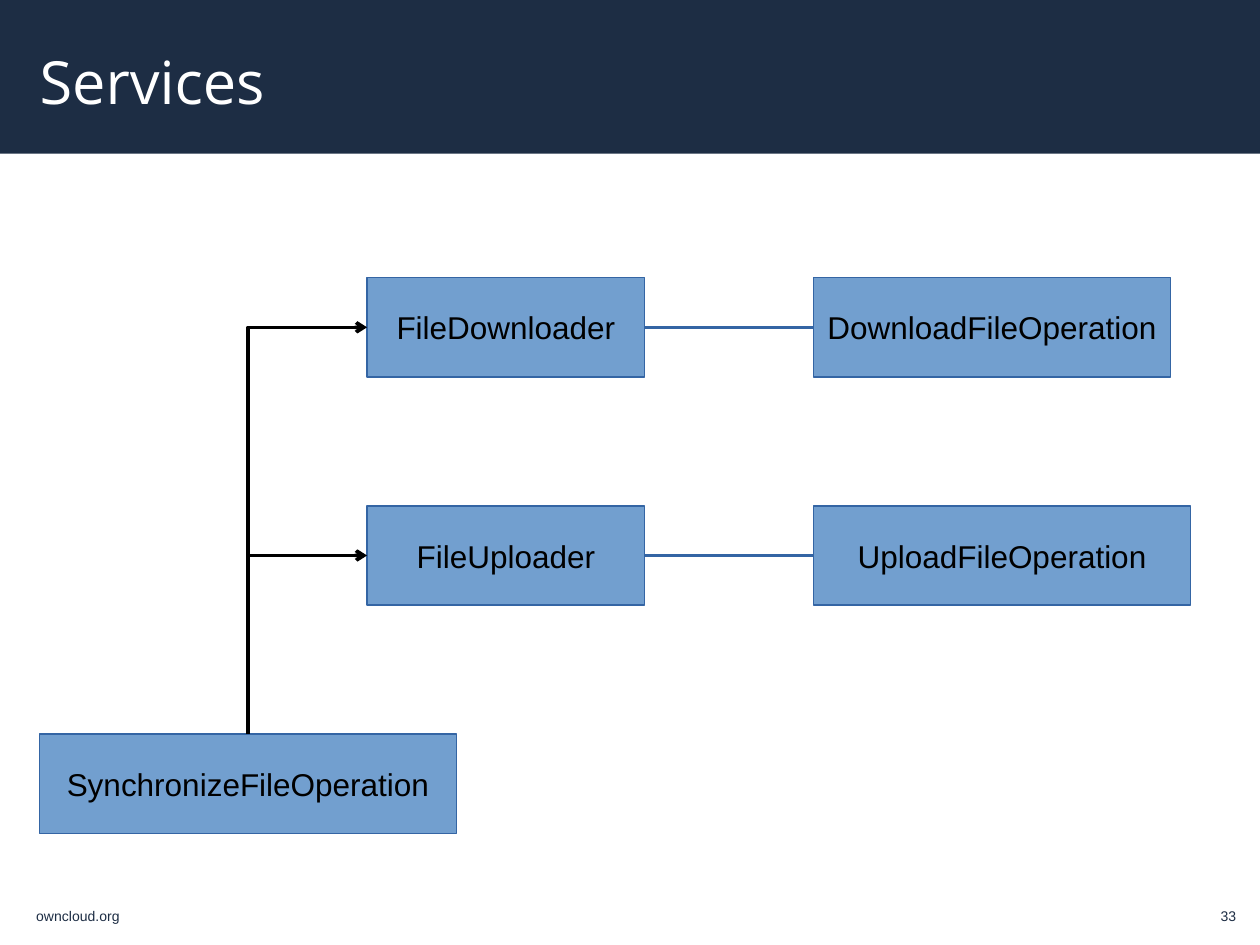
from dataclasses import dataclass

import pptx
import pptx.dml.color
import pptx.enum.shapes
import pptx.enum.text
import pptx.oxml
import pptx.oxml.ns
import pptx.shapes.autoshape
import pptx.shapes.connector
import pptx.slide
import pptx.util

Cm = pptx.util.Cm
Pt = pptx.util.Pt
RGB = pptx.dml.color.RGBColor
Align = pptx.enum.text.PP_ALIGN
Anchor = pptx.enum.text.MSO_ANCHOR
Connector = pptx.enum.shapes.MSO_CONNECTOR
Rectangle = pptx.enum.shapes.MSO_SHAPE.RECTANGLE


@dataclass(frozen=True)
class Theme:
    navy: RGB = RGB.from_string("1D2D44")
    white: RGB = RGB.from_string("FFFFFF")
    black: RGB = RGB.from_string("000000")
    box_fill: RGB = RGB.from_string("729FCF")
    box_line: RGB = RGB.from_string("3465A4")
    title_font: str = "Open Sans"
    body_font: str = "Arial"
    title_size: int = 34
    box_size: int = 18
    footer_size: int = 8


@dataclass(frozen=True)
class Label:
    text: str
    left: float
    top: float
    width: float
    height: float
    font: str
    size: int
    color: RGB
    align: Align = Align.LEFT
    anchor: Anchor = Anchor.TOP
    margin_x: float = 0.25
    margin_y: float = 0.13


@dataclass(frozen=True)
class ClassBox:
    name: str
    left: float
    row: int
    width: float


THEME = Theme()
ROW_TOP, ROW_PITCH, BOX_HEIGHT = 5.6, 4.6, 2.0

LABELS = [
    Label("33", 23.06, 18.16, 2.11, 0.7, THEME.body_font, THEME.footer_size,
          THEME.navy, align=Align.RIGHT),
    Label("owncloud.org", 0.48, 18.16, 4.57, 0.63, THEME.body_font,
          THEME.footer_size, THEME.navy),
    Label("Services", 0.8, 0.1, 20.52, 3.05, THEME.title_font, THEME.title_size,
          THEME.white, anchor=Anchor.MIDDLE, margin_x=0, margin_y=0),
]

DOWNLOADER = ClassBox("FileDownloader", 7.4, 0, 5.6)
DOWNLOAD = ClassBox("DownloadFileOperation", 16.4, 0, 7.2)
UPLOADER = ClassBox("FileUploader", 7.4, 1, 5.6)
UPLOAD = ClassBox("UploadFileOperation", 16.4, 1, 7.6)
SYNCHRONIZE = ClassBox("SynchronizeFileOperation", 0.8, 2, 8.4)
BOXES = [DOWNLOADER, DOWNLOAD, UPLOADER, UPLOAD, SYNCHRONIZE]


def format_text(frame: pptx.text.text.TextFrame, text: str, font: str, size: int,
                color: RGB, align: Align, anchor: Anchor) -> None:
    frame.text = text
    frame.vertical_anchor = anchor
    paragraph = frame.paragraphs[0]
    paragraph.alignment = align
    run_font = paragraph.runs[0].font
    run_font.name, run_font.size, run_font.color.rgb = font, Pt(size), color


def add_header_band(slide: pptx.slide.Slide) -> None:
    band = slide.shapes.add_shape(Rectangle, 0, 0, Cm(25.4), Cm(3.1))
    band.shadow.inherit = False
    band.fill.solid()
    band.fill.fore_color.rgb = THEME.navy
    band.line.fill.background()


def add_label(slide: pptx.slide.Slide, label: Label) -> None:
    frame = slide.shapes.add_textbox(Cm(label.left), Cm(label.top), Cm(label.width),
                                     Cm(label.height)).text_frame
    frame.word_wrap = True
    frame.margin_left = frame.margin_right = Cm(label.margin_x)
    frame.margin_top = frame.margin_bottom = Cm(label.margin_y)
    format_text(frame, label.text, label.font, label.size, label.color,
                label.align, label.anchor)


def add_box(slide: pptx.slide.Slide, box: ClassBox) -> pptx.shapes.autoshape.Shape:
    shape = slide.shapes.add_shape(Rectangle, Cm(box.left),
                                   Cm(ROW_TOP + box.row * ROW_PITCH),
                                   Cm(box.width), Cm(BOX_HEIGHT))
    shape.shadow.inherit = False
    shape.fill.solid()
    shape.fill.fore_color.rgb = THEME.box_fill
    shape.line.color.rgb = THEME.box_line
    shape.line.width = Pt(0)
    shape.text_frame.word_wrap = False
    format_text(shape.text_frame, box.name, THEME.body_font, THEME.box_size,
                THEME.black, Align.CENTER, Anchor.MIDDLE)
    return shape


def add_link(slide: pptx.slide.Slide, kind: Connector, start: pptx.shapes.autoshape.Shape,
             start_site: int, end: pptx.shapes.autoshape.Shape,
             color: RGB) -> pptx.shapes.connector.Connector:
    """Join the left side of end to a connection site of start."""
    link = slide.shapes.add_connector(kind, 0, 0, 0, 0)
    link.begin_connect(start, start_site)
    link.end_connect(end, 1)
    link.line.color.rgb = color
    link.line.width = Pt(0)
    properties = link._element.spPr
    properties.append(pptx.oxml.parse_xml(
        f"<a:effectLst {pptx.oxml.ns.nsdecls('a')}/>"))
    return link


def add_corner_arrow(slide: pptx.slide.Slide, start: pptx.shapes.autoshape.Shape,
                     end: pptx.shapes.autoshape.Shape) -> None:
    """Go straight up from start, then turn right into end."""
    link = add_link(slide, Connector.ELBOW, start, 0, end, THEME.black)
    run, rise = link.width, link.height
    center_x, center_y = link.left + run // 2, link.top + rise // 2
    link.left, link.top = center_x - rise // 2, center_y - run // 2
    link.width, link.height = rise, run
    properties = link._element.spPr
    properties.find(pptx.oxml.ns.qn("a:prstGeom")).set("prst", "bentConnector2")
    for key, value in (("rot", "5400000"), ("flipH", "1"), ("flipV", "1")):
        properties.find(pptx.oxml.ns.qn("a:xfrm")).set(key, value)
    properties.find(pptx.oxml.ns.qn("a:ln")).append(pptx.oxml.parse_xml(
        f"<a:tailEnd {pptx.oxml.ns.nsdecls('a')} type='arrow'/>"))


def main() -> None:
    deck = pptx.Presentation()
    deck.slide_width, deck.slide_height = Cm(25.4), Cm(19.05)
    slide = deck.slides.add_slide(deck.slide_layouts[6])

    add_header_band(slide)
    for label in LABELS:
        add_label(slide, label)

    shapes = {box: add_box(slide, box) for box in BOXES}
    for service, operation in ((DOWNLOADER, DOWNLOAD), (UPLOADER, UPLOAD)):
        add_link(slide, Connector.STRAIGHT, shapes[service], 3, shapes[operation],
                 THEME.box_line)
        add_corner_arrow(slide, shapes[SYNCHRONIZE], shapes[service])

    deck.save("out.pptx")


if __name__ == "__main__":
    main()
